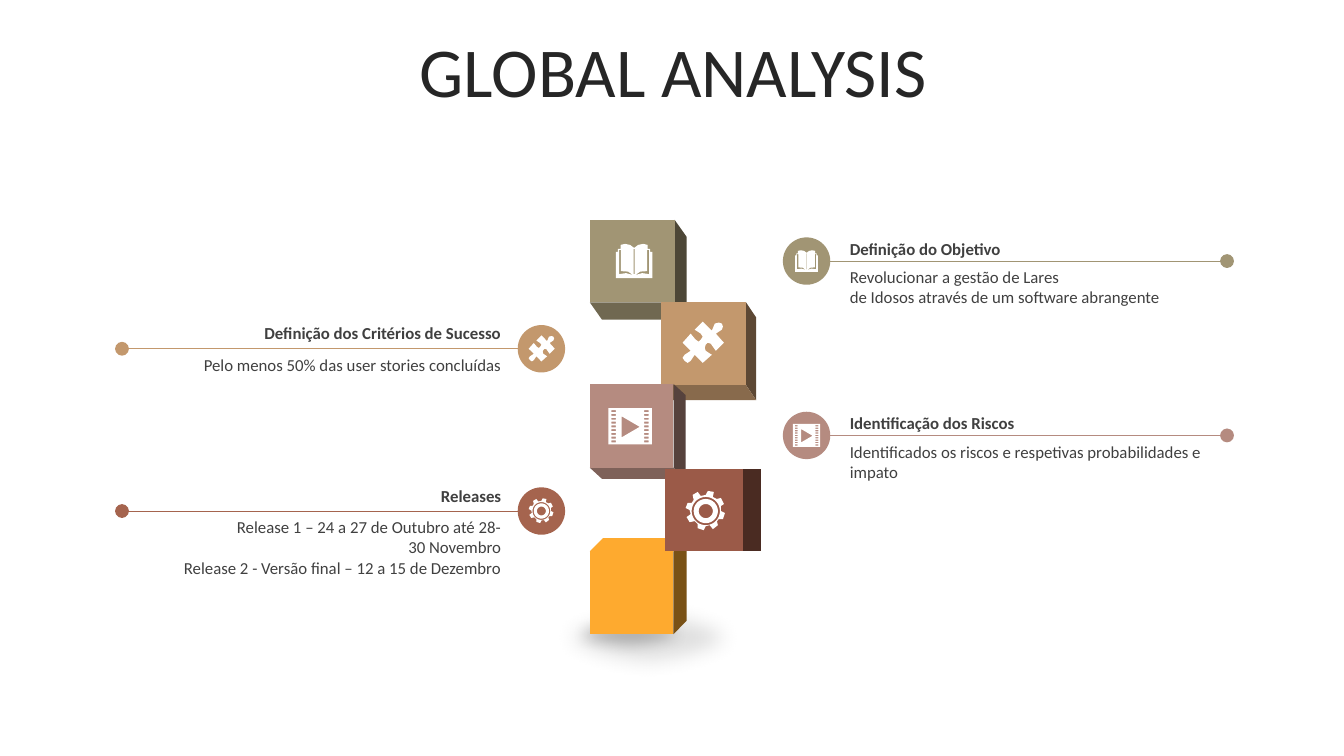
from math import cos, pi, sin

from lxml.etree import SubElement
from pptx import Presentation
from pptx.dml.color import RGBColor
from pptx.enum.shapes import MSO_CONNECTOR as Connector, MSO_SHAPE as Shape
from pptx.enum.text import MSO_ANCHOR as Anchor, PP_ALIGN as Align
from pptx.oxml.ns import qn
from pptx.util import Inches, Pt

OLIVE = RGBColor(0xA1, 0x95, 0x74)
TAN = RGBColor(0xC3, 0x98, 0x6D)
ROSE = RGBColor(0xB5, 0x8B, 0x80)
BROWN = RGBColor(0xA5, 0x64, 0x4E)
BRICK = RGBColor(0x9B, 0x5A, 0x48)
ORANGE = RGBColor(0xFE, 0xAA, 0x2F)
GRAY = RGBColor(0x80, 0x80, 0x80)
WHITE = RGBColor(0xFF, 0xFF, 0xFF)
TITLE_COLOR = RGBColor(0x26, 0x26, 0x26)
TEXT_COLOR = RGBColor(0x40, 0x40, 0x40)

presentation = Presentation()
presentation.slide_width = Inches(13.33)
presentation.slide_height = Inches(7.5)
slide = presentation.slides.add_slide(presentation.slide_layouts[6])
shapes = slide.shapes


def add_outline(contours, color, center=(0, 0), scale=1):
    placed = [
        [(Inches(center[0] + x * scale), Inches(center[1] + y * scale)) for x, y in contour]
        for contour in contours
    ]
    builder = shapes.build_freeform(*placed[0][0])
    for index, contour in enumerate(placed):
        if index:
            builder.move_to(*contour[0])
        builder.add_line_segments(contour[1:], close=True)
    shape = builder.convert_to_shape()
    shape.shadow.inherit = False
    shape.fill.solid()
    shape.fill.fore_color.rgb = color
    shape.line.fill.background()


def add_text(left, top, width, height, text, align, size=12, color=TEXT_COLOR, bold=False):
    box = shapes.add_textbox(Inches(left), Inches(top), Inches(width), Inches(height))
    frame = box.text_frame
    frame.word_wrap = True
    frame.text = text
    for paragraph in frame.paragraphs:
        paragraph.alignment = align
        for run in paragraph.runs:
            run.font.name = "Calibri"
            run.font.size = Pt(size)
            run.font.bold = bold
            run.font.color.rgb = color
    return frame


title = add_text(0.35, 0.37, 12.66, 0.79, "GLOBAL ANALYSIS", Align.CENTER, 50, TITLE_COLOR)
title.vertical_anchor = Anchor.MIDDLE
title.paragraphs[0].line_spacing = 0.8
title.paragraphs[0].space_before = Pt(10)

for left, top, width, height, alpha, blur in [
    (5.35, 5.9, 2.15, 0.85, 25000, 0.2),
    (5.5, 6.05, 1.5, 0.48, 51000, 0.14),
]:
    shadow = shapes.add_shape(Shape.OVAL, Inches(left), Inches(top), Inches(width), Inches(height))
    shadow.shadow.inherit = False
    shadow.line.fill.background()
    shadow.fill.solid()
    shadow.fill.fore_color.rgb = GRAY
    properties = shadow.element.spPr
    SubElement(properties.find(".//" + qn("a:srgbClr")), qn("a:alpha"), val=str(alpha))
    SubElement(properties.find(qn("a:effectLst")), qn("a:softEdge"), rad=str(Inches(blur)))

for left, top, width, height, depth_x, depth_y, color in [
    (5.85, 2.18, 0.84, 0.82, 0.12, 0.17, OLIVE),
    (6.56, 3.0, 0.84, 0.82, 0.1, 0.15, TAN),
    (5.85, 3.81, 0.83, 0.83, 0.12, 0.11, ROSE),
    (5.85, 5.47, 0.83, 0.82, 0.13, -0.13, ORANGE),
    (6.6, 4.65, 0.77, 0.82, 0.18, 0, BRICK),
]:
    right, bottom = left + width, top + height
    edge = bottom if depth_y > 0 else top
    side_color = RGBColor(*(int(part * 0.48) for part in color))
    flat_color = RGBColor(*(int(part * 0.7) for part in color)) if depth_y > 0 else color
    add_outline([[(right, top), (right + depth_x, top + depth_y),
                  (right + depth_x, bottom + depth_y), (right, bottom)]], side_color)
    if depth_y:
        add_outline([[(left, edge), (right, edge), (right + depth_x, edge + depth_y),
                      (left + depth_x, edge + depth_y)]], flat_color)
    add_outline([[(left, top), (right, top), (right, bottom), (left, bottom)]], color)

book_edge = [(13, -11), (15, -11), (15, 13), (8, 12), (1, 14), (6, 10.5), (13, 10)]
book = [
    [(-18, 17), (-18, -9), (-16, -9), (-16, -12), (-13.5, -12), (-13.5, -16), (-9, -17), (-4, -16),
     (0, -13), (4, -16), (9, -17), (13.5, -16), (13.5, -12), (16, -12), (16, -9), (18, -9), (18, 17)],
    book_edge,
    [(-x, y) for x, y in book_edge],
    [(-0.4, -12), (0.4, -12), (0.4, 13), (-0.4, 13)],
]
puzzle = [[
    (19, -19), (20, -16), (19, -13), (13, -9), (21, 0), (13, 8), (8, 1), (5, 0), (3, 2), (2, 5),
    (3, 8), (9, 12), (0, 20), (-8, 12), (-12, 18), (-15, 20), (-18, 18), (-20, 15), (-18, 12),
    (-12, 8), (-20, 0), (-12, -9), (-7, -3), (-4, -1), (-2, -3), (0, -6), (-2, -9), (-8, -13),
    (0, -21), (9, -12), (12, -19), (16, -20),
]]
film = [
    [(-21.5, -18), (21.5, -18), (21.5, 18), (-21.5, 18)],
    [(-8.5, -10), (-8.5, 11), (9.5, 0.5)],
]
for row in range(9):
    hole_top = -16 + row * 3.75
    for x in (-18.5, 14):
        film.append([(x, hole_top), (x + 4.5, hole_top), (x + 4.5, hole_top + 2), (x, hole_top + 2)])
gear = [[
    (8, -19), (7, -14), (11, -12), (15, -13), (18, -7), (15, -5), (15, 0), (19, 2), (17, 8), (13, 8),
    (11, 10), (12, 14), (7, 18), (4, 14), (0, 15), (-2, 19), (-8, 17), (-8, 13), (-11, 10), (-16, 11),
    (-19, 6), (-15, 3), (-16, -1), (-20, -3), (-18, -8), (-14, -8), (-12, -11), (-13, -16), (-8, -19),
    (-5, -15), (0, -16), (2, -20),
]]
for radius in (14, 12, 7):
    gear.append([(radius * cos(step * pi / 20), radius * sin(step * pi / 20)) for step in range(40)])

topics = [
    ("right", 2.59, 2.32, OLIVE, book, (6.29, 2.59), "Definição do Objetivo",
     "Revolucionar a gestão de Lares\vde Idosos através de um software abrangente"),
    ("left", 3.46, 3.15, TAN, puzzle, (6.97, 3.4), "Definição dos Critérios de Sucesso",
     "Pelo menos 50% das user stories concluídas"),
    ("right", 4.32, 4.05, ROSE, film, (6.25, 4.23), "Identificação dos Riscos",
     "Identificados os riscos e respetivas probabilidades e impato"),
    ("left", 5.07, 4.77, BROWN, gear, (7, 5.07), "Releases",
     "Release 1 – 24 a 27 de Outubro até 28-\v30 Novembro\n"
     "Release 2 - Versão final – 12 a 15 de Dezembro"),
]
for side, line_y, heading_top, color, icon, icon_center, heading, body in topics:
    if side == "right":
        badge_x, line_start, line_end, text_left, align = 8, 8.23, 12.17, 8.33, Align.LEFT
    else:
        badge_x, line_start, line_end, text_left, align = 5.37, 5.15, 1.21, 1.37, Align.RIGHT

    badge = shapes.add_shape(Shape.OVAL, Inches(badge_x - 0.235), Inches(line_y - 0.235),
                             Inches(0.47), Inches(0.47))
    badge.shadow.inherit = False
    badge.fill.solid()
    badge.fill.fore_color.rgb = color
    badge.line.fill.background()

    add_text(text_left, line_y + 0.01, 3.7, 0.5, body, align)
    add_text(text_left, heading_top, 3.7, 0.3, heading, align, bold=True)

    line = shapes.add_connector(Connector.STRAIGHT, Inches(line_start), Inches(line_y),
                                Inches(line_end), Inches(line_y))
    line.line.color.rgb = color
    line.line.width = Pt(0.5)
    SubElement(line.line._get_or_add_ln(), qn("a:tailEnd"), type="oval", w="lg", len="lg")
    SubElement(line.element.spPr, qn("a:effectLst"))

    add_outline(icon, WHITE, icon_center, 0.01)
    add_outline(icon, WHITE, (badge_x, line_y), 0.0063)

presentation.save("out.pptx")
